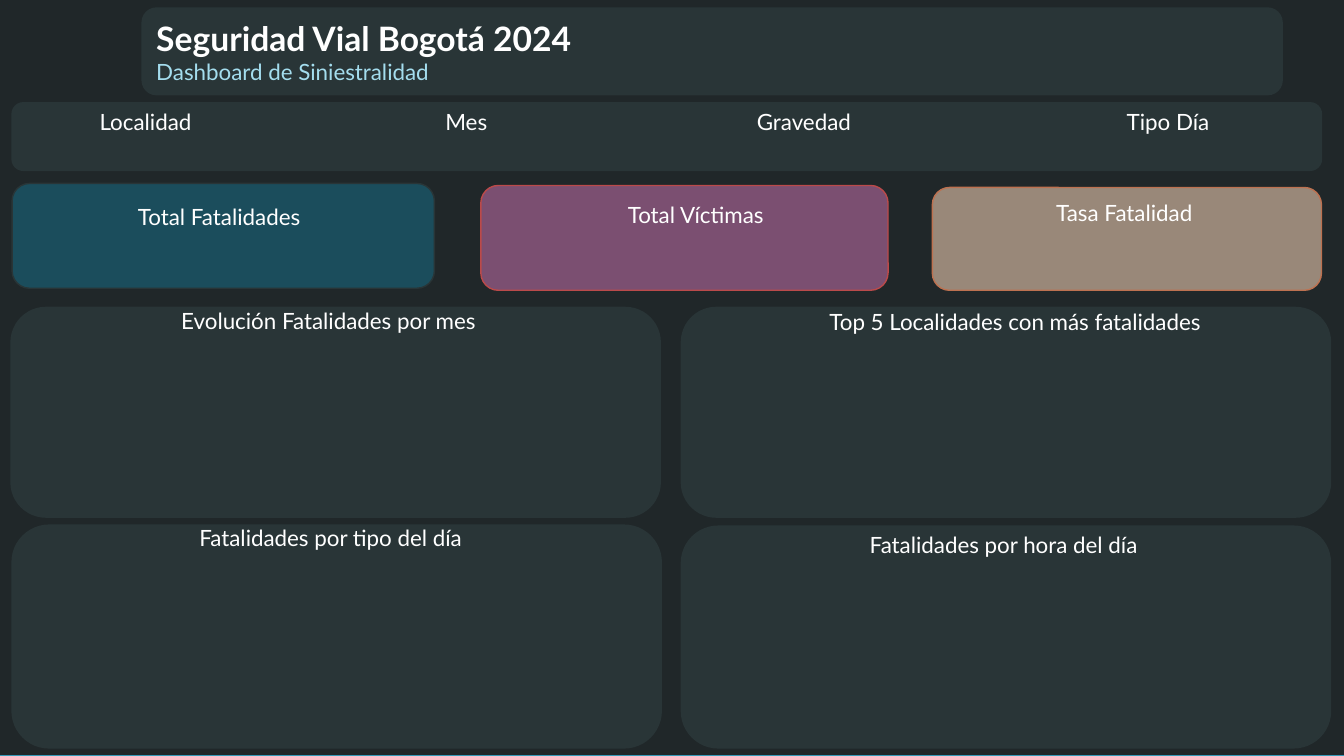
from dataclasses import dataclass

from lxml.etree import SubElement
from pptx import Presentation
from pptx.dml.color import RGBColor
from pptx.enum.shapes import MSO_SHAPE
from pptx.enum.text import MSO_ANCHOR, MSO_AUTO_SIZE, PP_ALIGN
from pptx.oxml.ns import qn
from pptx.shapes.autoshape import Shape
from pptx.slide import Slide
from pptx.text.text import _Paragraph as Paragraph
from pptx.util import Inches, Pt

# The slide is a grid of 40 columns by 30 rows
SLIDE_WIDTH, SLIDE_HEIGHT = Inches(13.33), Inches(7.5)
COLUMN, ROW = SLIDE_WIDTH / 40, SLIDE_HEIGHT / 30
LABEL_ROWS = 1.48


@dataclass(frozen=True)
class Theme:
    font: str = "Lato"
    title_size: int = 24
    text_size: int = 16
    backdrop: str = "1C2325"
    backdrop_alpha: int = 98
    backdrop_line: str = "3599B8"
    panel: str = "293537"
    text: str = "FFFFFF"
    subtitle: str = "A4DDEE"
    deaths: str = "1B4D5C"
    victims: str = "7B4F71"
    victims_line: str = "BB4A4A"
    rate: str = "998879"
    rate_line: str = "BD7150"


THEME = Theme()


@dataclass(frozen=True)
class Area:
    column: float
    row: float
    columns: float
    rows: float

    def place(self, shape: Shape) -> None:
        shape.left, shape.top = round(self.column * COLUMN), round(self.row * ROW)
        shape.width, shape.height = round(self.columns * COLUMN), round(self.rows * ROW)


@dataclass(frozen=True)
class Label:
    text: str
    column: float
    row: float
    columns: float


@dataclass(frozen=True)
class Card:
    area: Area
    label: Label
    fill: str = THEME.panel
    line: str = THEME.panel


BACKDROP = Area(-0.75, -1.32, 41.43, 31.32)
BANNER = Area(4.23, 0.32, 33.93, 3.44)
TITLE = Area(4.35, 0.32, 33.6, 3.44)
FILTER_BAR = Area(0.36, 4.08, 38.97, 2.68)
FILTERS = {"Localidad": 2.67, "Mes": 12.96, "Gravedad": 22.23, "Tipo Día": 33.24}

INDICATORS = [
    Card(Area(0.36, 7.28, 12.57, 4.16), Label("Total Fatalidades", 3.81, 7.88, 5.61),
         THEME.deaths),
    Card(Area(14.31, 7.36, 12.12, 4.16), Label("Total Víctimas", 18.39, 7.8, 5.61),
         THEME.victims, THEME.victims_line),
    Card(Area(27.75, 7.44, 11.58, 4.08), Label("Tasa Fatalidad", 31.14, 7.72, 5.61),
         THEME.rate, THEME.rate_line),
]
PANELS = [
    Card(Area(0.33, 12.2, 19.32, 8.32),
         Label("Evolución Fatalidades por mes", 5.1, 12, 10.47)),
    Card(Area(20.28, 12.2, 19.32, 8.32),
         Label("Top 5 Localidades con más fatalidades", 24.39, 12.04, 13.47)),
    Card(Area(0.36, 20.84, 19.32, 8.84),
         Label("Fatalidades por tipo del día", 5.64, 20.6, 9.18)),
    Card(Area(20.28, 20.88, 19.32, 8.8),
         Label("Fatalidades por hora del día", 25.59, 20.88, 9.18)),
]


def add_box(page: Slide, area: Area, fill: str, line: str,
            kind: MSO_SHAPE = MSO_SHAPE.ROUNDED_RECTANGLE) -> Shape:
    box = page.shapes.add_shape(kind, 0, 0, 0, 0)
    area.place(box)
    box.shadow.inherit = False
    box.fill.solid()
    box.fill.fore_color.rgb = RGBColor.from_string(fill)
    box.line.color.rgb = RGBColor.from_string(line)
    box.line.width = Pt(1)
    return box


def format_text(para: Paragraph, size: int, color: str, bold: bool = False) -> None:
    para.alignment = PP_ALIGN.LEFT
    for span in para.runs:
        span.font.name = THEME.font
        span.font.size = Pt(size)
        span.font.bold = bold
        span.font.color.rgb = RGBColor.from_string(color)


def add_label(page: Slide, label: Label) -> None:
    box = page.shapes.add_textbox(0, 0, 0, 0)
    Area(label.column, label.row, label.columns, LABEL_ROWS).place(box)
    frame = box.text_frame
    frame.text = label.text
    frame.word_wrap = True
    frame.auto_size = MSO_AUTO_SIZE.SHAPE_TO_FIT_TEXT
    format_text(frame.paragraphs[0], THEME.text_size, THEME.text)


def add_backdrop(page: Slide) -> None:
    box = add_box(page, BACKDROP, THEME.backdrop, THEME.backdrop_line, MSO_SHAPE.RECTANGLE)
    color = box._element.spPr.find(qn("a:solidFill"))[0]
    SubElement(color, qn("a:alpha"), val=str(THEME.backdrop_alpha * 1000))


def add_banner(page: Slide) -> None:
    add_box(page, BANNER, THEME.panel, THEME.panel)
    title = page.shapes.title
    TITLE.place(title)
    frame = title.text_frame
    frame.text = "Seguridad Vial Bogotá 2024\nDashboard de Siniestralidad"
    frame.word_wrap = True
    frame.auto_size = MSO_AUTO_SIZE.NONE
    frame.vertical_anchor = MSO_ANCHOR.MIDDLE
    heading, subtitle = frame.paragraphs
    format_text(heading, THEME.title_size, THEME.text, bold=True)
    format_text(subtitle, THEME.text_size, THEME.subtitle)
    # Bring the title in front of its banner
    page.shapes._spTree.append(title._element)


def main() -> None:
    deck = Presentation()
    deck.slide_width, deck.slide_height = SLIDE_WIDTH, SLIDE_HEIGHT
    page = deck.slides.add_slide(deck.slide_layouts.get_by_name("Title Only"))

    # Backdrop and heading
    add_backdrop(page)
    add_banner(page)

    # Filters
    add_box(page, FILTER_BAR, THEME.panel, THEME.panel)
    for name, column in FILTERS.items():
        add_label(page, Label(name, column, FILTER_BAR.row, 5.52))

    # Indicators and chart panels
    cards = INDICATORS + PANELS
    for card in cards:
        add_box(page, card.area, card.fill, card.line)
    for card in cards:
        add_label(page, card.label)

    deck.save("out.pptx")


if __name__ == "__main__":
    main()
